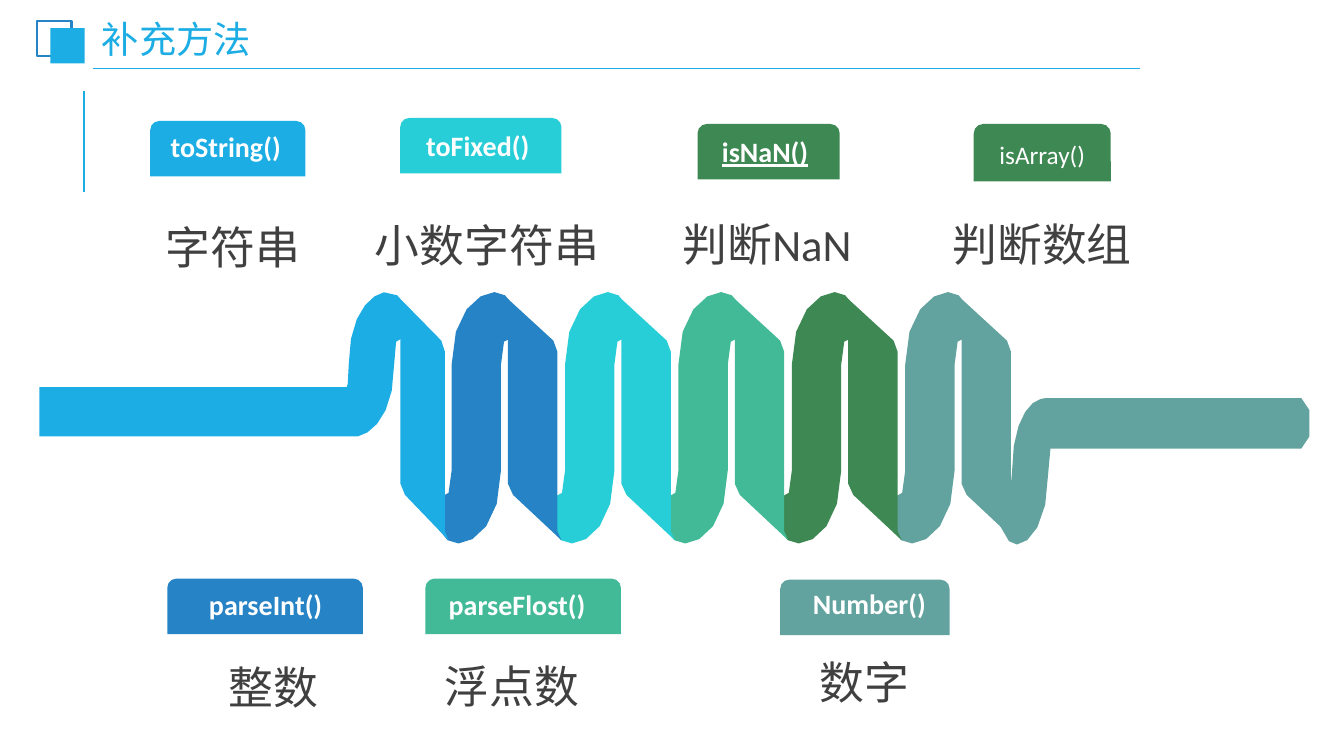
from math import dist

from lxml.etree import SubElement
from pptx import Presentation
from pptx.dml.color import RGBColor
from pptx.enum.shapes import MSO_CONNECTOR as Link, MSO_SHAPE as Preset
from pptx.enum.text import MSO_ANCHOR as Anchor, MSO_AUTO_SIZE as Fit, PP_ALIGN as Align
from pptx.oxml.ns import qn
from pptx.util import Inches, Pt

COLUMNS, ROWS = 133.33, 75
CELL = Inches(0.1)
PITCH = 11.25
STEPS_PER_CELL = 0.6
COLORS = {
    "sky": "1CADE4", "blue": "2683C6", "aqua": "27CED7", "mint": "42BA97",
    "green": "3E8853", "slate": "62A39F", "ink": "404040", "white": "FFFFFF",
}
COIL = ["blue", "aqua", "mint", "green", "slate"]
ARCH = [
    (4.9, 46.7), (4.9, 36.2), (4.9, 35, 4.9, 34.2, 5.2, 33.9),
    (6.1, 33, 7, 33.5, 7.2, 32.9), (7.5, 31.9, 6.1, 30, 5.3, 29.3),
    (4, 28.2, 0, 29.8, 0, 36.2), (0, 46.7), (0, 47.9, 0, 48.6, -0.3, 48.9),
    (-1.2, 49.8, -2.1, 49.4, -2.3, 50), (-2.6, 51, -1.2, 52.9, -0.4, 53.6),
    (1, 54.7, 4.9, 53.1, 4.9, 46.7),
]
BAND = [
    (-0.4, 52.7), (-0.4, 34.9), (-0.4, 34.7, -0.4, 34.2, -0.8, 33.8), (-5.7, 29.3),
    (-5.6, 29.3, -5.3, 29.7, -5.3, 30.2), (-5.3, 48), (-5.3, 48.2, -5.3, 48.7, -4.8, 49.1),
    (0, 53.6), (-0.1, 53.6, -0.4, 53.2, -0.4, 52.7),
]
LEAD = [
    (38.1, 29), (38.6, 28.9, 39.1, 29, 39.4, 29.3), (40.2, 30, 41.4, 31.9, 41.2, 32.8),
    (41, 33.5, 40.1, 33, 39.3, 33.9), (39, 34.2, 39.1, 35, 39.1, 36.2),
    (39.1, 41, 37, 43, 35.5, 43.3), (3.9, 43.3), (3.9, 38.4), (34.4, 38.4), (34.5, 38.1),
    (34.6, 37.7, 34.6, 37, 34.6, 36.2), (34.6, 31.4, 36.6, 29.3, 38.1, 29),
]
TAIL = [
    (103.7, 39.5), (129.1, 39.5), (129.5, 39.5, 129.9, 40.1, 129.9, 40.7), (129.9, 43.3),
    (129.9, 44, 129.5, 44.5, 129.1, 44.5), (104.2, 44.5), (104.2, 44.6),
    (104, 44.8, 104, 45.6, 104, 46.8), (104, 53.2, 101.1, 54.8, 100.1, 53.7),
    (99.5, 52.9, 98.5, 51.1, 98.7, 50.1), (98.8, 49.5, 99.5, 49.9, 100.2, 49),
    (100.4, 48.8, 100.4, 48, 100.4, 46.8), (100.4, 42, 102, 39.9, 103.2, 39.6),
    (103.7, 39.5),
]
METHODS = [
    ("toString()", "sky", (14.9, 12, 15.4, 5.5), (15, 12.4, 14.8, 4.4),
     "字符串", (10, 19.7, 26.2, 7.5)),
    ("parseInt()", "blue", (16.6, 57.4, 19.4, 5.5), (17.4, 57.8, 17.9, 4.4),
     "整数", (14, 63.4, 26.2, 7.5)),
    ("toFixed()", "aqua", (39.7, 11.7, 16, 5.5), (39.4, 12.3, 16, 4.4),
     "小数字符串", (35.2, 19.5, 26.2, 7.5)),
    ("parseFlost()", "mint", (42.2, 57.4, 19.4, 5.5), (43, 57.8, 16.6, 4.4),
     "浮点数", (37.7, 63.3, 26.2, 7.5)),
    ("isNaN()", "green", (69.2, 12.3, 14.1, 5.5), (70.3, 12.9, 11.2, 4.4),
     "判断NaN", (63, 19.4, 26.2, 7.5)),
    ("isArray()", "green", (96.6, 12.3, 13.6, 5.7), None,
     "判断数组", (90.3, 19.4, 26.2, 7.5)),
    ("Number()", "slate", (77.4, 57.5, 16.8, 5.5), (78.4, 57.7, 15.7, 4.4),
     "数字", (77.8, 62.9, 15.9, 7.5)),
]


def cells(*counts):
    """Convert grid cells to slide lengths."""
    return [round(count * CELL) for count in counts]


def color(name):
    """Look up a named colour."""
    return RGBColor.from_string(COLORS[name])


def paint(shape, name):
    """Give a shape a flat fill without line or shadow."""
    shape.shadow.inherit = False
    shape.fill.solid()
    shape.fill.fore_color.rgb = color(name)
    shape.line.fill.background()


def add_preset(page, preset, box, name):
    """Add a flat preset shape on the grid."""
    shape = page.shapes.add_shape(preset, *cells(*box))
    paint(shape, name)
    return shape


def add_rule(page, ends, width):
    """Add a straight line between two grid points."""
    rule = page.shapes.add_connector(Link.STRAIGHT, *cells(*ends))
    rule.line.color.rgb = color("sky")
    rule.line.width = Pt(width)
    SubElement(rule._element.spPr, qn("a:effectLst"))


def write(frame, text, size, name, align=Align.CENTER, spacing=1.0, bold=False):
    """Write one formatted paragraph and return it."""
    frame.word_wrap = True
    para = frame.paragraphs[0]
    para.text, para.alignment, para.line_spacing = text, align, spacing
    para.font.name, para.font.size, para.font.bold = "Calibri", Pt(size), bold
    para.font.color.rgb = color(name)
    return para


def add_text(page, box, *words, **style):
    """Add a text box that grows with its text."""
    frame = page.shapes.add_textbox(*cells(*box)).text_frame
    frame.auto_size = Fit.SHAPE_TO_FIT_TEXT
    return write(frame, *words, **style)


def flatten(outline):
    """Turn lines and cubic curves into points, with more on longer curves."""
    points = [outline[0]]
    for step in outline[1:]:
        start, end = points[-1], step[-2:]
        controls = [start, step[:2], step[2:4], end]
        count = max(1, round(dist(start, end) * STEPS_PER_CELL)) if len(step) == 6 else 1
        for index in range(1, count):
            t = index / count
            weights = [(1 - t) ** 3, 3 * t * (1 - t) ** 2, 3 * t * t * (1 - t), t ** 3]
            points.append(tuple(
                sum(weight * control[axis] for weight, control in zip(weights, controls))
                for axis in (0, 1)))
        points.append(end)
    return points


def add_ribbon(page, outline, name, left=0, stretch=1):
    """Add a closed curved outline, moved and stretched sideways."""
    points = [cells(left + x * stretch, y) for x, y in flatten(outline)]
    builder = page.shapes.build_freeform(*points[0])
    builder.add_line_segments(points[1:-1], close=True)
    paint(builder.convert_to_shape(), name)


def add_coil(page):
    """Draw the coiled ribbon from right to left."""
    add_ribbon(page, TAIL, "slate")
    for turn, name in reversed(list(enumerate(COIL))):
        left = 44.8 + turn * PITCH
        add_ribbon(page, ARCH, name, left)
        add_ribbon(page, BAND, name, left + 10.9)
    add_ribbon(page, LEAD, "sky")
    add_ribbon(page, BAND, "sky", 44.5, 0.9)


def add_method(page, label, name, tab_box, label_box, caption, caption_box):
    """Add a coloured tab with its method name and caption."""
    tab = add_preset(page, Preset.ROUND_2_SAME_RECTANGLE, tab_box, name)
    if label_box:
        para = add_text(page, label_box, label, 20, "white", bold=True)
        para.font.underline = label == "isNaN()"
    else:
        tab.text_frame.vertical_anchor = Anchor.MIDDLE
        write(tab.text_frame, label, 18, "white")
    add_text(page, caption_box, caption, 32, "ink", spacing=1.3)


def add_heading(page, text):
    """Add the heading with its rules and squares."""
    add_rule(page, (8.3, 19, 8.3, 9), 1.5)
    add_rule(page, (9.2, 6.8, 113.1, 6.8), 1.25)
    frame_square = add_preset(page, Preset.RECTANGLE, (3.7, 2.1, 3.4, 3.5), "white")
    frame_square.fill.background()
    frame_square.line.color.rgb = color("blue")
    frame_square.line.width = Pt(1.5)
    add_preset(page, Preset.RECTANGLE, (5, 2.8, 3.4, 3.5), "sky")
    title = page.shapes.title
    title.left, title.top, title.width, title.height = cells(9.4, 2.3, 39.3, 3.7)
    frame = title.text_frame
    frame.auto_size, frame.vertical_anchor = Fit.NONE, Anchor.MIDDLE
    frame.margin_left = frame.margin_right = Inches(0.07)
    frame.margin_top = frame.margin_bottom = Inches(0.04)
    write(frame, text, 26.6, "sky", Align.LEFT, 0.9)


def main():
    """Build and save the slide."""
    deck = Presentation()
    deck.slide_width, deck.slide_height = cells(COLUMNS, ROWS)
    page = deck.slides.add_slide(deck.slide_layouts.get_by_name("Title Only"))
    add_heading(page, "补充方法")
    add_coil(page)
    for method in METHODS:
        add_method(page, *method)
    deck.save("out.pptx")


if __name__ == "__main__":
    main()
